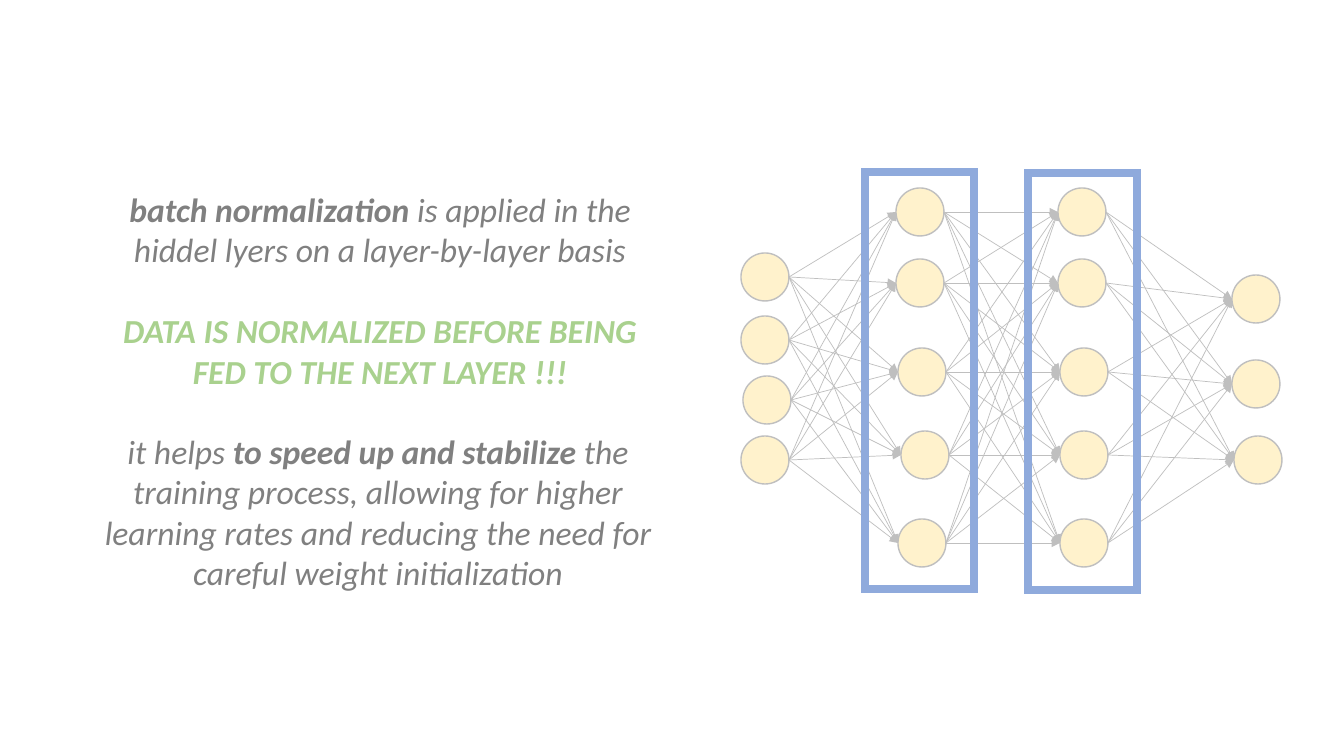
"""Build a slide on batch normalization beside a layered network diagram."""
from itertools import pairwise, product

from lxml.etree import SubElement
from pptx import Presentation
from pptx.dml.color import RGBColor
from pptx.enum.shapes import MSO_CONNECTOR as CONNECTOR, MSO_SHAPE as SHAPE
from pptx.enum.text import MSO_AUTO_SIZE as AUTO_SIZE, PP_ALIGN as ALIGN
from pptx.oxml.ns import qn
from pptx.util import Emu, Pt

COLORS = {"node": "FFF2CC", "edge": "BFBFBF", "frame": "8FAADC",
          "text": "808080", "accent": "A9D18E"}
NODE = 48
RADIUS = NODE // 2


def px(*lengths):
    return [Emu(round(length * 914400 / 100.8)) for length in lengths]


def color(name):
    return RGBColor.from_string(COLORS[name])


presentation = Presentation()
presentation.slide_width, presentation.slide_height = px(1344, 756)
slide = presentation.slides.add_slide(presentation.slide_layouts[6])

layers = [
    [(765, 277), (765, 340), (767, 400), (765, 460)],
    [(920, 212), (920, 283), (922, 372), (925, 455), (922, 543)],
    [(1082, 212), (1082, 283), (1084, 372), (1084, 455), (1084, 543)],
    [(1256, 299), (1256, 384), (1258, 460)],
]

for layer in layers:
    for x, y in layer:
        node = slide.shapes.add_shape(
            SHAPE.OVAL, *px(x - RADIUS, y - RADIUS, NODE, NODE))
        node.shadow.inherit = False
        node.fill.solid()
        node.fill.fore_color.rgb = color("node")
        node.line.color.rgb = color("edge")
        node.line.width = Pt(1)

for sources, targets in pairwise(layers):
    for (x1, y1), (x2, y2) in product(sources, targets):
        arrow = slide.shapes.add_connector(
            CONNECTOR.STRAIGHT, *px(x1 + RADIUS, y1, x2 - RADIUS, y2))
        arrow.line.color.rgb = color("edge")
        arrow.line.width = Pt(0.5)
        SubElement(arrow.line._get_or_add_ln(), qn("a:tailEnd"), type="triangle")
        SubElement(arrow._element.spPr, qn("a:effectLst"))

text_boxes = [
    ((92, 426, 572, 173), [
        ("text", [("it helps ", False), ("to speed up and stabilize ", True),
                  ("the training process, allowing for higher learning rates "
                   "and reducing the need for careful weight initialization", False)]),
    ]),
    ((94, 184, 572, 214), [
        ("text", [("batch normalization", True),
                  (" is applied in the hiddel lyers on a layer-by-layer basis", False)]),
        ("accent", [("DATA IS NORMALIZED BEFORE BEING FED TO THE NEXT LAYER !!!", True)]),
    ]),
]

for bounds, paragraphs in text_boxes:
    frame = slide.shapes.add_textbox(*px(*bounds)).text_frame
    frame.word_wrap = True
    frame.auto_size = AUTO_SIZE.SHAPE_TO_FIT_TEXT
    for index, (color_name, runs) in enumerate(paragraphs):
        paragraph = frame.add_paragraph() if index else frame.paragraphs[0]
        paragraph.alignment = ALIGN.CENTER
        if index:
            paragraph.space_before = Pt(29)
        paragraph.font.name = "Calibri"
        paragraph.font.size = Pt(24)
        paragraph.font.italic = True
        paragraph.font.color.rgb = color(color_name)
        for text, bold in runs:
            run = paragraph.add_run()
            run.text = text
            run.font.bold = bold

for left, top in [(865, 172), (1028, 173)]:
    outline = slide.shapes.add_shape(SHAPE.RECTANGLE, *px(left, top, 109, 417))
    outline.shadow.inherit = False
    outline.fill.background()
    outline.line.color.rgb = color("frame")
    outline.line.width = Pt(6)
    SubElement(outline.line._get_or_add_ln(), qn("a:miter"), lim="800000")

presentation.save("out.pptx")
